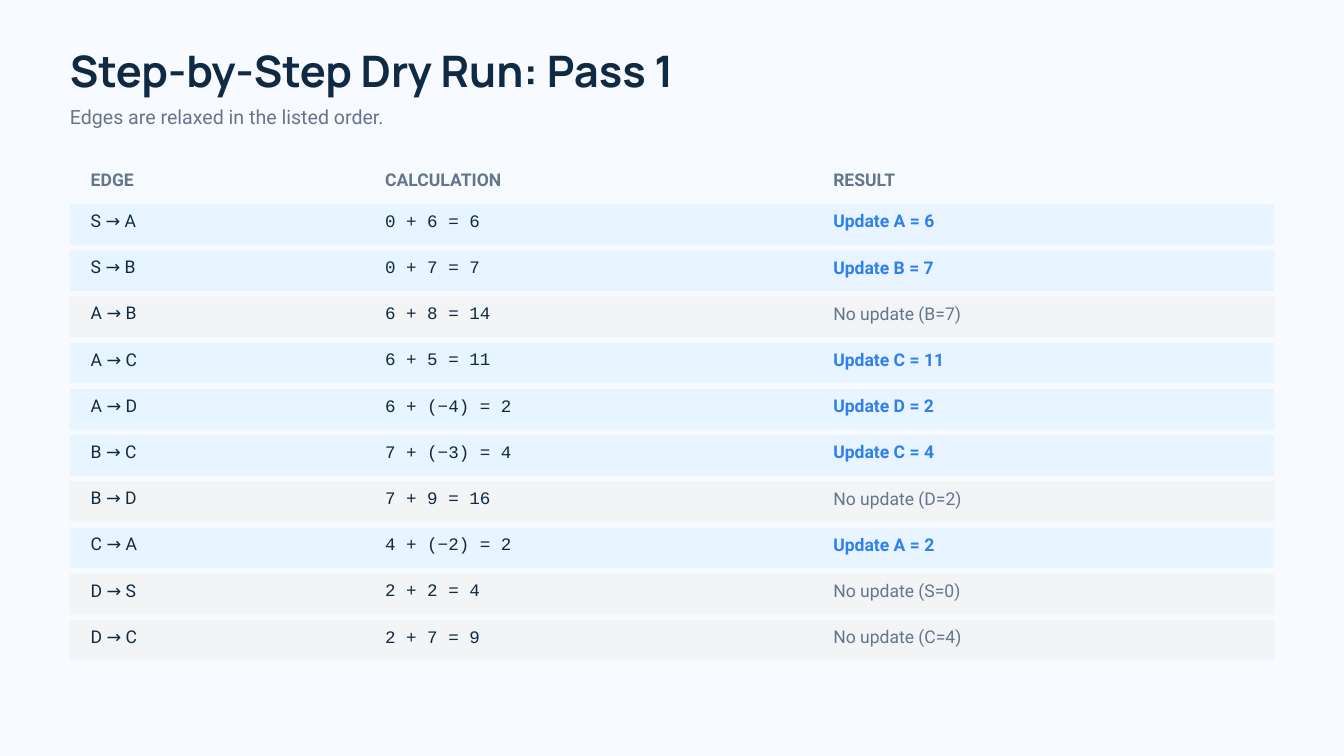
from pptx import Presentation
from pptx.dml.color import RGBColor
from pptx.enum.shapes import MSO_SHAPE
from pptx.enum.text import MSO_ANCHOR, MSO_AUTO_SIZE, PP_ALIGN
from pptx.util import Inches, Pt

TOP, LEFT, NO_FIT = MSO_ANCHOR.TOP, PP_ALIGN.LEFT, MSO_AUTO_SIZE.NONE
RECTANGLE = MSO_SHAPE.RECTANGLE

WIDTH, HEIGHT = 20, 11.25
MARGIN = 1.04
CONTENT_WIDTH = WIDTH - 2 * MARGIN
HEADER_TOP, FIRST_ROW_TOP = 2.46, 3.04
ROW_PITCH, BAND_HEIGHT = 0.6875, 0.6
COLUMN_LEFTS = (1.35, 5.73, 12.4)
COLUMN_WIDTHS = (3.12, 5.21, 5.73)
TEXT_OFFSETS = (0.06, 0.03, 0.04)
TEXT_HEIGHT = 0.35

COLORS = {
    "page": "F7FBFF",
    "ink": "102A43",
    "muted": "65758B",
    "accent": "2F80ED",
    "updated": "E8F4FF",
    "unchanged": "F2F4F6",
}

TITLE = {"name": "Manrope", "size": 46.5, "bold": True, "color": "ink", "line": 48.8}
SUBTITLE = {"name": "Roboto", "size": 21, "bold": False, "color": "muted", "line": 27.3}
CELL = {"name": "Roboto", "size": 18.8, "bold": False, "color": "ink", "line": 26.2}
HEADER = CELL | {"bold": True, "color": "muted"}
EDGE = CELL | {"line": 24.4}
CALCULATION = CELL | {"name": "Courier New"}
UPDATE = CELL | {"bold": True, "color": "accent"}
NO_UPDATE = CELL | {"color": "muted"}

HEADINGS = ("EDGE", "CALCULATION", "RESULT")
STEPS = (
    ("S → A", "0 + 6 = 6", "Update A = 6"),
    ("S → B", "0 + 7 = 7", "Update B = 7"),
    ("A → B", "6 + 8 = 14", "No update (B=7)"),
    ("A → C", "6 + 5 = 11", "Update C = 11"),
    ("A → D", "6 + (−4) = 2", "Update D = 2"),
    ("B → C", "7 + (−3) = 4", "Update C = 4"),
    ("B → D", "7 + 9 = 16", "No update (D=2)"),
    ("C → A", "4 + (−2) = 2", "Update A = 2"),
    ("D → S", "2 + 2 = 4", "No update (S=0)"),
    ("D → C", "2 + 7 = 9", "No update (C=4)"),
)


def color(name):
    """Return a palette colour."""
    return RGBColor.from_string(COLORS[name])


def write(box, text, style):
    """Put one styled line of text in a box without insets."""
    frame = box.text_frame
    layout = {"word_wrap": True, "auto_size": NO_FIT, "vertical_anchor": TOP}
    layout |= dict.fromkeys(("margin_left", "margin_top", "margin_right", "margin_bottom"), 0)
    for key, value in layout.items():
        setattr(frame, key, value)
    para = frame.paragraphs[0]
    spacing = {"alignment": LEFT, "space_before": Pt(0), "line_spacing": Pt(style["line"])}
    for key, value in spacing.items():
        setattr(para, key, value)
    span = para.add_run()
    span.text = text
    values = {"name": style["name"], "size": Pt(style["size"]), "bold": style["bold"]}
    for key, value in values.items():
        setattr(span.font, key, value)
    span.font.color.rgb = color(style["color"])


def fill_placeholder(box, top, height, text, style):
    """Place a placeholder at the left margin and write its text."""
    area = {"left": MARGIN, "top": top, "width": CONTENT_WIDTH, "height": height}
    for key, value in area.items():
        setattr(box, key, Inches(value))
    write(box, text, style)


def add_band(page, top, background):
    """Add the coloured band behind one row."""
    area = (MARGIN, top, CONTENT_WIDTH, BAND_HEIGHT)
    band = page.shapes.add_shape(RECTANGLE, *map(Inches, area))
    band.shadow.inherit = False
    band.fill.solid()
    band.fill.fore_color.rgb = color(background)
    band.line.fill.background()


def add_row(page, tops, texts, styles):
    """Add one text box per column."""
    for left, top, width, text, style in zip(COLUMN_LEFTS, tops, COLUMN_WIDTHS, texts, styles):
        box = page.shapes.add_textbox(*map(Inches, (left, top, width, TEXT_HEIGHT)))
        write(box, text, style)


def add_steps(page):
    """Add the headings and the banded relaxation steps."""
    add_row(page, [HEADER_TOP] * len(HEADINGS), HEADINGS, [HEADER] * len(HEADINGS))
    for index, step in enumerate(STEPS):
        top = FIRST_ROW_TOP + index * ROW_PITCH
        updated = step[-1].startswith("Update")
        add_band(page, top, "updated" if updated else "unchanged")
        styles = (EDGE, CALCULATION, UPDATE if updated else NO_UPDATE)
        add_row(page, [top + offset for offset in TEXT_OFFSETS], step, styles)


def main():
    """Build and save the slide."""
    deck = Presentation()
    deck.slide_width, deck.slide_height = Inches(WIDTH), Inches(HEIGHT)
    page = deck.slides.add_slide(deck.slide_layouts[0])
    page.background.fill.solid()
    page.background.fill.fore_color.rgb = color("page")
    title, subtitle = page.placeholders
    fill_placeholder(title, 0.76, 0.74, "Step-by-Step Dry Run: Pass 1", TITLE)
    fill_placeholder(subtitle, 1.53, 0.38, "Edges are relaxed in the listed order.", SUBTITLE)
    add_steps(page)
    deck.save("out.pptx")


if __name__ == "__main__":
    main()
